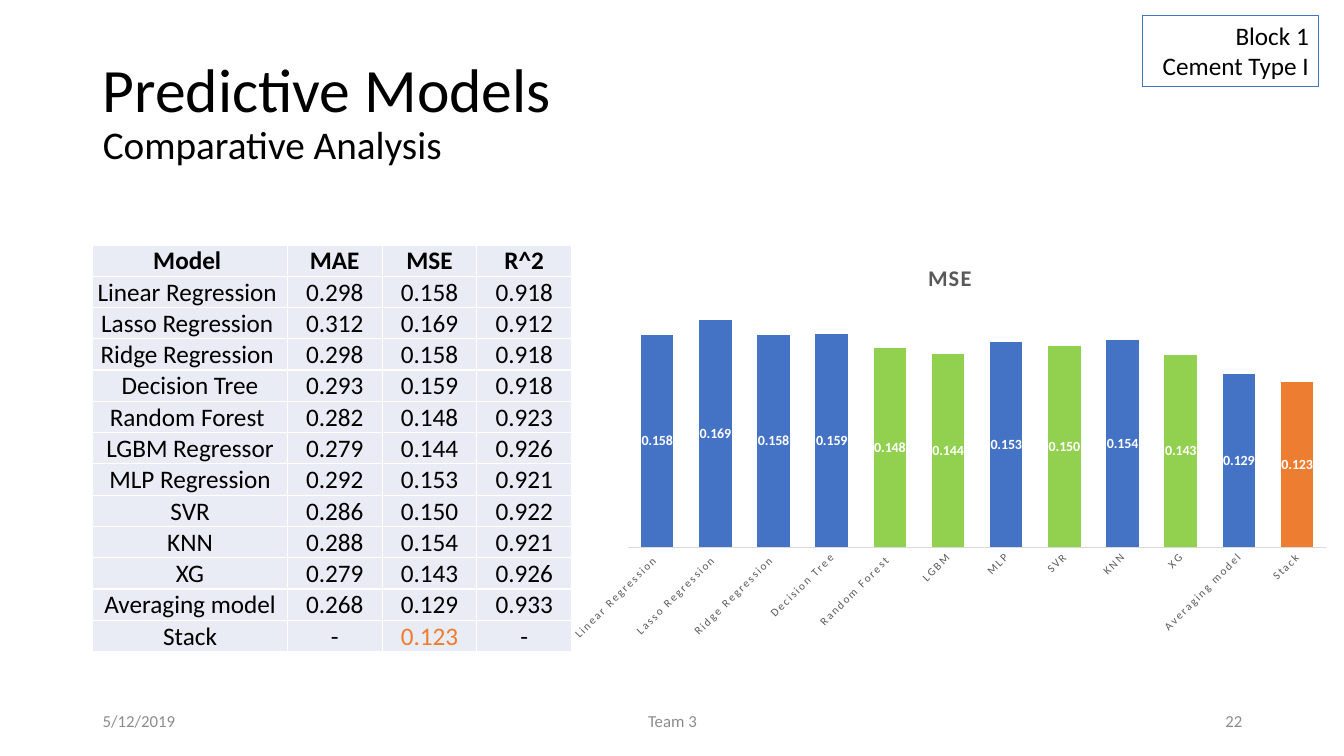
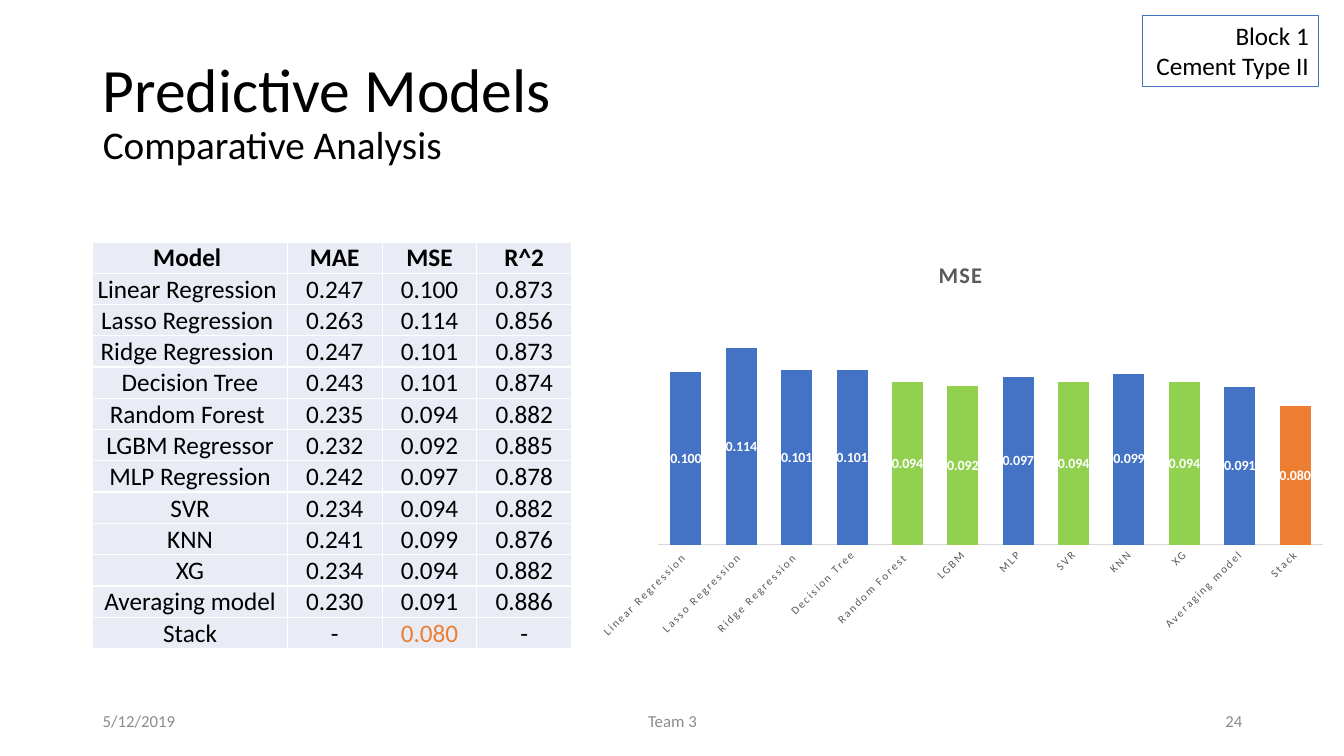
from lxml import etree
from pptx import Presentation
from pptx.chart.data import CategoryChartData
from pptx.dml.color import RGBColor
from pptx.enum.chart import XL_CHART_TYPE, XL_LABEL_POSITION, XL_TICK_MARK
from pptx.enum.shapes import MSO_SHAPE
from pptx.enum.text import MSO_ANCHOR, MSO_AUTO_SIZE, PP_ALIGN
from pptx.oxml.ns import qn
from pptx.util import Emu, Pt

LEFT, CENTER, RIGHT = PP_ALIGN.LEFT, PP_ALIGN.CENTER, PP_ALIGN.RIGHT
TOP, MIDDLE, BOTTOM = MSO_ANCHOR.TOP, MSO_ANCHOR.MIDDLE, MSO_ANCHOR.BOTTOM
STACKED = XL_CHART_TYPE.COLUMN_STACKED
LABEL_CENTER = XL_LABEL_POSITION.CENTER
NO_TICKS = XL_TICK_MARK.NONE
RECTANGLE = MSO_SHAPE.RECTANGLE
NO_FIT, GROW = MSO_AUTO_SIZE.NONE, MSO_AUTO_SIZE.SHAPE_TO_FIT_TEXT

EMU_PER_PX = 9144
SLIDE_SIZE = (1333, 750)
FONT = "Calibri"
COLORS = {
    "text": "000000", "footer": "8C8C8C", "chart_text": "595959",
    "axis": "D9D9D9", "white": "FFFFFF", "cell": "E9EBF5",
    "blue": "4472C4", "green": "92D050", "orange": "ED7D31",
}

TITLE = [("Predictive Models", 44), ("Comparative Analysis", 28)]
BLOCK = "Block 1"
DATE, TEAM = "5/12/2019", "Team 3"
HEADERS = ["Model ", "MAE", "MSE", "R^2"]
MSE_COLUMN = HEADERS.index("MSE") - 1
MODELS = [
    ("Linear Regression ", "Linear Regression ", "blue"),
    ("Lasso Regression ", "Lasso Regression ", "blue"),
    ("Ridge Regression ", "Ridge Regression ", "blue"),
    ("Decision Tree", "Decision Tree", "blue"),
    ("Random Forest ", "Random Forest ", "green"),
    ("LGBM Regressor", "LGBM", "green"),
    ("MLP Regression", "MLP", "blue"),
    ("SVR", "SVR", "green"),
    ("KNN", "KNN", "blue"),
    ("XG", "XG", "green"),
    ("Averaging model", "Averaging model", "blue"),
    ("Stack", "Stack", "orange"),
]
PAGES = [
    {
        "number": "22", "cement": "Cement Type I", "title_width": 496,
        "table_top": 243, "chart_box": (553, 243, 778, 400),
        "plot": (0.09, 0.15, 0.89, 0.6), "axis_max": 0.18,
        "scores": [
            ("0.298", "0.158", "0.918"), ("0.312", "0.169", "0.912"),
            ("0.298", "0.158", "0.918"), ("0.293", "0.159", "0.918"),
            ("0.282", "0.148", "0.923"), ("0.279", "0.144", "0.926"),
            ("0.292", "0.153", "0.921"), ("0.286", "0.150", "0.922"),
            ("0.288", "0.154", "0.921"), ("0.279", "0.143", "0.926"),
            ("0.268", "0.129", "0.933"), ("-", "0.123", "-"),
        ],
    },
    {
        "number": "24", "cement": "Cement Type II", "title_width": 648,
        "table_top": 240, "chart_box": (578, 240, 749, 401),
        "plot": (0.1, 0.15, 0.88, 0.6), "axis_max": 0.14,
        "scores": [
            ("0.247", "0.100", "0.873"), ("0.263", "0.114", "0.856"),
            ("0.247", "0.101", "0.873"), ("0.243", "0.101", "0.874"),
            ("0.235", "0.094", "0.882"), ("0.232", "0.092", "0.885"),
            ("0.242", "0.097", "0.878"), ("0.234", "0.094", "0.882"),
            ("0.241", "0.099", "0.876"), ("0.234", "0.094", "0.882"),
            ("0.230", "0.091", "0.886"), ("-", "0.080", "-"),
        ],
    },
]

MARGIN = 92
TITLE_TOP, TITLE_HEIGHT = 40, 145
TAG_BOX = (1133, 15, 175, 71)
FOOTER_TOP, FOOTER_HEIGHT = 695, 40
COLUMN_WIDTHS = [193, 94, 94, 94]
ROW_HEIGHT = 31
NUMBER_FORMAT = "#,##0.000"


def px(*lengths):
    return [Emu(length * EMU_PER_PX) for length in lengths]


def rgb(name):
    return RGBColor.from_string(COLORS[name])


def set_values(target, **values):
    for name, value in values.items():
        setattr(target, name, value)


def style_font(font, size, color="text", bold=False):
    set_values(font, name=FONT, size=Pt(size), bold=bold)
    font.color.rgb = rgb(color)


def add_span(para, text, size, color="text", bold=False):
    span = para.add_run()
    span.text = text
    style_font(span.font, size, color, bold)
    return span


def add_title(page, width):
    title = page.shapes.title
    left, top, width, height = px(MARGIN, TITLE_TOP, width, TITLE_HEIGHT)
    set_values(title, left=left, top=top, width=width, height=height)
    set_values(title.text_frame, word_wrap=True, auto_size=NO_FIT,
               vertical_anchor=MIDDLE)
    para = title.text_frame.paragraphs[0]
    set_values(para, alignment=LEFT, line_spacing=0.9)
    for index, (text, size) in enumerate(TITLE):
        if index:
            para.add_line_break()
        add_span(para, text, size)


def add_footers(page, number):
    footers = [(DATE, 92, 300, LEFT), (TEAM, 442, 450, CENTER),
               (number, 942, 300, RIGHT)]
    for text, left, width, align in footers:
        box = page.shapes.add_textbox(*px(left, FOOTER_TOP, width, FOOTER_HEIGHT))
        set_values(box.text_frame, word_wrap=True, vertical_anchor=MIDDLE)
        para = box.text_frame.paragraphs[0]
        para.alignment = align
        add_span(para, text, 12, "footer")


def add_borders(cell):
    properties = cell._tc.get_or_add_tcPr()
    for index, side in enumerate(("lnL", "lnR", "lnT", "lnB")):
        line = etree.Element(qn(f"a:{side}"), w=str(Pt(1)))
        fill = etree.SubElement(line, qn("a:solidFill"))
        etree.SubElement(fill, qn("a:srgbClr"), val=COLORS["white"])
        properties.insert(index, line)


def add_score_table(page, top, scores):
    rows = [HEADERS] + [[model[0], *row] for model, row in zip(MODELS, scores)]
    frame = page.shapes.add_table(
        len(rows), len(HEADERS),
        *px(MARGIN, top, sum(COLUMN_WIDTHS), ROW_HEIGHT * len(rows)))
    table = frame.table
    set_values(table, first_row=False, horz_banding=False)
    for column, width in zip(table.columns, px(*COLUMN_WIDTHS)):
        column.width = width
    inset = px(1)[0]
    for row_index, row in enumerate(rows):
        table.rows[row_index].height = px(ROW_HEIGHT)[0]
        for column_index, text in enumerate(row):
            cell = table.cell(row_index, column_index)
            set_values(cell, margin_left=inset, margin_right=inset,
                       margin_top=inset, margin_bottom=0,
                       vertical_anchor=MIDDLE if text == "-" else BOTTOM)
            cell.fill.solid()
            cell.fill.fore_color.rgb = rgb("cell")
            add_borders(cell)
            best = row_index == len(rows) - 1 and column_index == MSE_COLUMN + 1
            para = cell.text_frame.paragraphs[0]
            para.alignment = CENTER
            add_span(para, text, 18, "orange" if best else "text", row_index == 0)


def place_plot(chart, fractions):
    area = chart._chartSpace.find(".//" + qn("c:plotArea"))
    for old in area.findall(qn("c:layout")):
        area.remove(old)
    layout = etree.Element(qn("c:layout"))
    manual = etree.SubElement(layout, qn("c:manualLayout"))
    settings = [("layoutTarget", "inner"), ("xMode", "edge"), ("yMode", "edge")]
    settings += zip("xywh", fractions)
    for name, value in settings:
        etree.SubElement(manual, qn(f"c:{name}"), val=str(value))
    area.insert(0, layout)


def add_mse_chart(page, box, scores, plot_fractions, axis_max):
    data = CategoryChartData(number_format=NUMBER_FORMAT)
    data.categories = [model[1] for model in MODELS]
    data.add_series("MSE", [float(row[MSE_COLUMN]) for row in scores])
    chart = page.shapes.add_chart(STACKED, *px(*box), data).chart
    style_font(chart.font, 10)
    set_values(chart, has_legend=False, has_title=True)
    heading = chart.chart_title.text_frame.paragraphs[0]
    span = add_span(heading, "MSE", 16, "chart_text", True)
    span.font._element.set("spc", "100")
    place_plot(chart, plot_fractions)

    set_values(chart.value_axis, visible=False, has_major_gridlines=False,
               minimum_scale=0, maximum_scale=axis_max)
    axis = chart.category_axis
    set_values(axis, major_tick_mark=NO_TICKS, minor_tick_mark=NO_TICKS)
    axis.format.line.color.rgb = rgb("axis")
    axis.format.line.width = Pt(0.75)
    style_font(axis.tick_labels.font, 8, "chart_text")
    labels_text = axis._element.find(qn("c:txPr"))
    labels_text.find(qn("a:bodyPr")).set("rot", "-2700000")
    labels_text.find(".//" + qn("a:defRPr")).set("spc", "120")

    plot = chart.plots[0]
    set_values(plot, gap_width=79, overlap=100, vary_by_categories=False,
               has_data_labels=True)
    set_values(plot.data_labels, show_value=True, position=LABEL_CENTER,
               number_format=NUMBER_FORMAT, number_format_is_linked=False)
    style_font(plot.data_labels.font, 10, "white", True)
    series = plot.series[0]
    series.format.fill.solid()
    series.format.fill.fore_color.rgb = rgb("blue")
    for index, (_, _, color) in enumerate(MODELS):
        if color != "blue":
            fill = series.points[index].format.fill
            fill.solid()
            fill.fore_color.rgb = rgb(color)


def add_tag(page, cement):
    tag = page.shapes.add_shape(RECTANGLE, *px(*TAG_BOX))
    tag.shadow.inherit = False
    tag.fill.background()
    tag.line.color.rgb = rgb("blue")
    tag.line.width = Pt(0.75)
    frame = tag.text_frame
    set_values(frame, word_wrap=True, auto_size=GROW, vertical_anchor=TOP)
    for index, text in enumerate((BLOCK, cement)):
        para = frame.add_paragraph() if index else frame.paragraphs[0]
        para.alignment = RIGHT
        add_span(para, text, 18)


def main():
    deck = Presentation()
    deck.slide_width, deck.slide_height = px(*SLIDE_SIZE)
    title_only = deck.slide_layouts[5]
    for content in PAGES:
        page = deck.slides.add_slide(title_only)
        add_title(page, content["title_width"])
        add_footers(page, content["number"])
        add_score_table(page, content["table_top"], content["scores"])
        add_mse_chart(page, content["chart_box"], content["scores"],
                      content["plot"], content["axis_max"])
        add_tag(page, content["cement"])
    deck.save("out.pptx")


if __name__ == "__main__":
    main()
